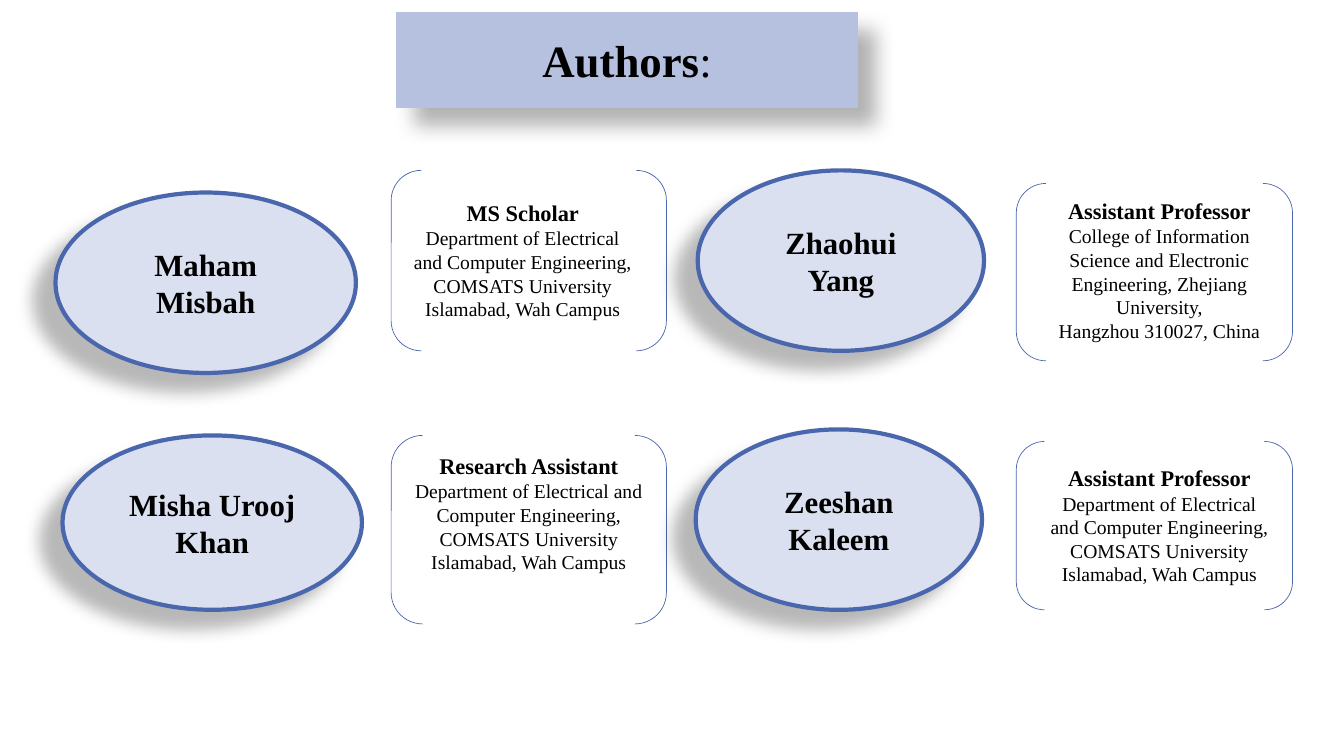
from lxml import etree
from pptx import Presentation
from pptx.dml.color import RGBColor
from pptx.enum.shapes import MSO_SHAPE
from pptx.enum.text import MSO_ANCHOR, PP_ALIGN
from pptx.oxml import parse_xml
from pptx.oxml.ns import nsdecls
from pptx.util import Inches, Pt

OVAL, BRACKETS = MSO_SHAPE.OVAL, MSO_SHAPE.DOUBLE_BRACKET
CENTER, MIDDLE = PP_ALIGN.CENTER, MSO_ANCHOR.MIDDLE
BLACK = RGBColor(0x00, 0x00, 0x00)
BLUE = RGBColor(0x4A, 0x66, 0xAC)
PALE_BLUE = RGBColor(0xDA, 0xE0, 0xEF)
TITLE_BLUE = RGBColor(0xB5, 0xC1, 0xDF)
FONT = "Times New Roman"

WAH_CAMPUS = ["Department of Electrical and Computer Engineering, "
              "COMSATS University Islamabad, Wah Campus"]
ZHEJIANG = ["College of Information Science and Electronic Engineering, "
            "Zhejiang University,", "Hangzhou 310027, China"]

# name, role, affiliation, then left, top, width, height of oval, brackets and details
AUTHORS = [
    ("Maham Misbah", "MS Scholar", WAH_CAMPUS,
     (0.55, 1.91, 2.98, 1.79), (3.88, 1.69, 2.73, 1.79), (3.96, 1.93, 2.45, 1.31)),
    ("Misha Urooj Khan", "Research Assistant", WAH_CAMPUS,
     (0.62, 4.32, 2.97, 1.73), (3.88, 4.32, 2.73, 1.87), (4, 4.44, 2.49, 1.55)),
    ("Zhaohui Yang", "Assistant Professor", ZHEJIANG,
     (6.92, 1.69, 2.84, 1.79), (10.08, 1.82, 2.74, 1.76), (10.18, 1.91, 2.64, 1.55)),
    ("Zeeshan Kaleem", "Assistant Professor", WAH_CAMPUS,
     (6.9, 4.26, 2.84, 1.79), (10.08, 4.38, 2.74, 1.67), (10.3, 4.56, 2.4, 1.31)),
]


def add_shadow(shape, opacity, blur, distance, angle):
    """Cast a black outer shadow: percent, points, points, degrees."""
    properties = shape._element.spPr
    for old_effects in properties.findall("{*}effectLst"):
        properties.remove(old_effects)
    effects = parse_xml(f"<a:effectLst {nsdecls('a')}/>")
    namespace = effects.nsmap["a"]
    outer = etree.SubElement(
        effects, f"{{{namespace}}}outerShdw", blurRad=str(int(Pt(blur))),
        dist=str(int(Pt(distance))), dir=str(angle * 60000), algn="ctr", rotWithShape="0")
    black = etree.SubElement(outer, f"{{{namespace}}}srgbClr", val=str(BLACK))
    etree.SubElement(black, f"{{{namespace}}}alpha", val=str(opacity * 1000))
    properties.append(effects)


def format_paragraph(paragraph, size, bold=None):
    paragraph.alignment = CENTER
    paragraph.font.name = FONT
    paragraph.font.size = Pt(size)
    paragraph.font.bold = bold
    paragraph.font.color.rgb = BLACK


prs = Presentation()
prs.slide_width, prs.slide_height = Inches(13.33), Inches(7.5)
slide = prs.slides.add_slide(prs.slide_layouts[5])

title = slide.shapes.title
title.left, title.top = Inches(3.93), Inches(0.12)
title.width, title.height = Inches(4.58), Inches(0.95)
title._element.spPr.append(parse_xml(
    f'<a:prstGeom {nsdecls("a")} prst="roundRect"><a:avLst/></a:prstGeom>'))
title.fill.solid()
title.fill.fore_color.rgb = TITLE_BLUE
title.line.fill.background()
add_shadow(title, 30, 15, 18, 45)
title.text_frame.vertical_anchor = MIDDLE
heading = title.text_frame.paragraphs[0]
format_paragraph(heading, 32)
for text, bold in (("Authors", True), (":", False)):
    run = heading.add_run()
    run.text = text
    run.font.bold = bold

for name, role, affiliation, oval_box, bracket_box, details_box in AUTHORS:
    oval = slide.shapes.add_shape(OVAL, *map(Inches, oval_box))
    oval.fill.solid()
    oval.fill.fore_color.rgb = PALE_BLUE
    oval.line.color.rgb = BLUE
    oval.line.width = Pt(3)
    add_shadow(oval, 28, 11.8, 19.7, 141)
    oval.text_frame.text = name
    oval.text_frame.vertical_anchor = MIDDLE
    format_paragraph(oval.text_frame.paragraphs[0], 22, True)

    brackets = slide.shapes.add_shape(BRACKETS, *map(Inches, bracket_box))
    brackets.shadow.inherit = False
    brackets.fill.background()
    brackets.line.color.rgb = BLUE
    brackets.line.width = Pt(0.5)

    details = slide.shapes.add_textbox(*map(Inches, details_box)).text_frame
    details.word_wrap = True
    details.text = "\n".join([role, *affiliation])
    format_paragraph(details.paragraphs[0], 16, True)
    for line in details.paragraphs[1:]:
        format_paragraph(line, 14)

prs.save("out.pptx")
